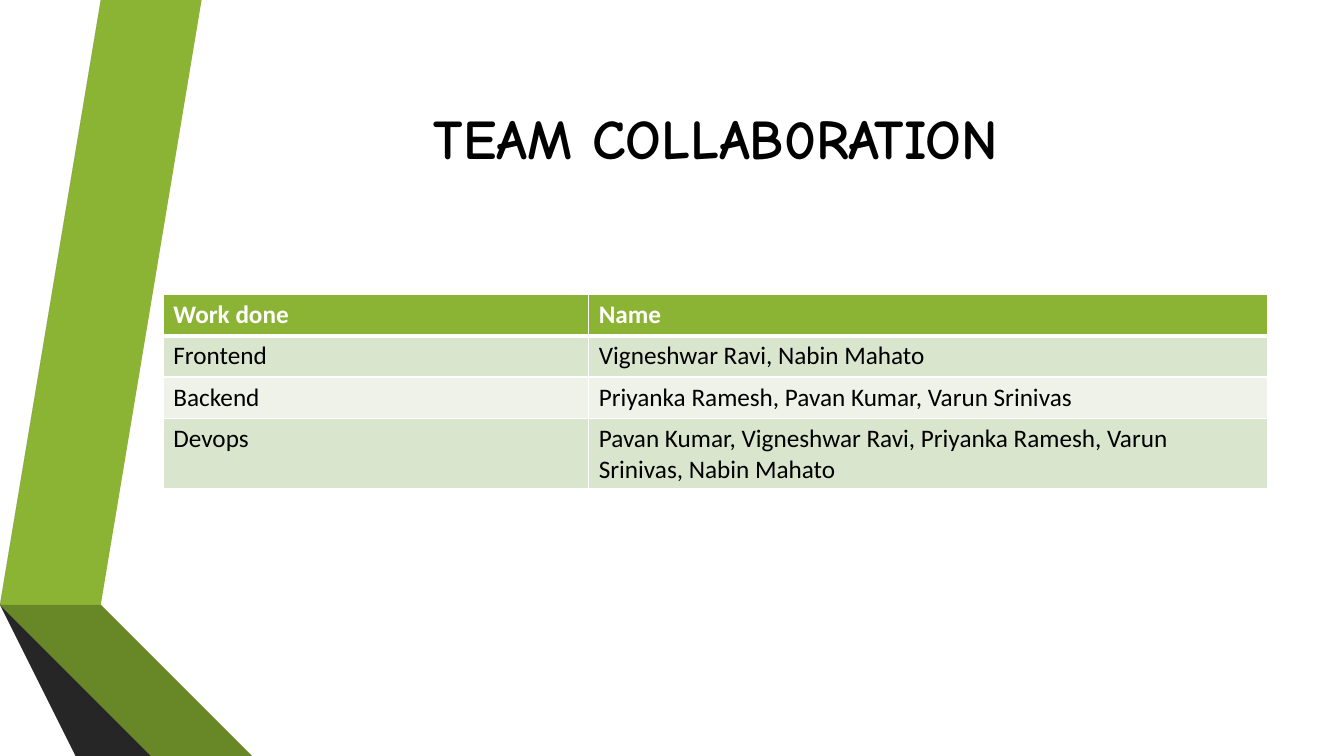
from lxml.etree import SubElement
from pptx import Presentation
from pptx.dml.color import RGBColor
from pptx.enum.text import MSO_ANCHOR, PP_ALIGN
from pptx.oxml.ns import qn
from pptx.util import Inches, Pt

# Content
TITLE = "TEAM COLLAB0RATION"
TEAM = [
    ("Work done", "Name"),
    ("Frontend", "Vigneshwar Ravi, Nabin Mahato"),
    ("Backend", "Priyanka Ramesh, Pavan Kumar, Varun Srinivas"),
    ("Devops", "Pavan Kumar, Vigneshwar Ravi, Priyanka Ramesh, Varun Srinivas, Nabin Mahato"),
]
GREEN, BLACK, WHITE = "8BB434", "000000", "FFFFFF"
BANDS = ("DAE5CE", "EEF2E8")
RIBBONS = [  # colour, corners in inches
    (GREEN, [(0.5, 5.78), (0.77, 5.83), (1.73, 0), (1.45, 0)]),
    ("595959", [(1.39, 0), (1.11, 0), (0.16, 5.73), (0.44, 5.77)]),
    ("262626", [(0.16, 5.73), (1.45, 7.5), (1.51, 7.5)]),
    ("465A1A", [(0.5, 5.79), (2.08, 7.5), (2.14, 7.5)]),
    ("688727", [(0.5, 5.78), (2.14, 7.5), (2.83, 7.5), (0.77, 5.83)]),
    ("404040", [(2.02, 7.5), (0.48, 5.83), (0.44, 5.77), (0.16, 5.73), (1.51, 7.5)]),
]

# Layout in inches
LEFT, WIDTH = 1.62, 10.96
TITLE_TOP, TITLE_HEIGHT = 0.75, 1.22
TABLE_TOP, ROW_HEIGHT = 2.92, 0.41
COLUMN_WIDTHS = (4.22, 6.73)


def rgb(colour):
    return RGBColor.from_string(colour)


def style(paragraph, name, size, colour, bold):
    font = paragraph.font
    font.name, font.size, font.bold = name, Pt(size), bold
    font.color.rgb = rgb(colour)


def add_border(cell, side, width):
    line = SubElement(cell._tc.get_or_add_tcPr(), qn(f"a:ln{side}"), w=str(Pt(width)))
    fill = SubElement(line, qn("a:solidFill"))
    SubElement(fill, qn("a:srgbClr"), val=WHITE)


prs = Presentation()
prs.slide_width, prs.slide_height = Inches(13.33), Inches(7.5)
slide = prs.slides.add_slide(prs.slide_layouts[6])

# Folded ribbons
for colour, corners in RIBBONS:
    outline = slide.shapes.build_freeform(*corners[0], scale=Inches(1))
    outline.add_line_segments(corners[1:], close=True)
    ribbon = outline.convert_to_shape()
    ribbon.shadow.inherit = False
    ribbon.fill.solid()
    ribbon.fill.fore_color.rgb = rgb(colour)
    ribbon.line.fill.background()

# Title
title = slide.shapes.add_textbox(
    Inches(LEFT), Inches(TITLE_TOP), Inches(WIDTH), Inches(TITLE_HEIGHT)
).text_frame
title.word_wrap = True
title.vertical_anchor = MSO_ANCHOR.MIDDLE
heading = title.paragraphs[0]
heading.text = TITLE
heading.alignment = PP_ALIGN.CENTER
style(heading, "Comic Neue", 40, BLACK, True)

# Team table
table = slide.shapes.add_table(
    len(TEAM), len(COLUMN_WIDTHS), Inches(LEFT), Inches(TABLE_TOP),
    Inches(WIDTH), Inches(ROW_HEIGHT * len(TEAM)),
).table
for column, width in zip(table.columns, COLUMN_WIDTHS):
    column.width = Inches(width)
for r, entries in enumerate(TEAM):
    table.rows[r].height = Inches(ROW_HEIGHT)
    header = r == 0
    for c, entry in enumerate(entries):
        cell = table.cell(r, c)
        cell.text = entry
        style(cell.text_frame.paragraphs[0], "Calibri", 18, WHITE if header else BLACK, header)
        for side in "LRTB":
            below_header = (r, side) in ((0, "B"), (1, "T"))
            add_border(cell, side, 3 if below_header else 1)
        cell.fill.solid()
        cell.fill.fore_color.rgb = rgb(GREEN if header else BANDS[(r - 1) % 2])

prs.save("out.pptx")
